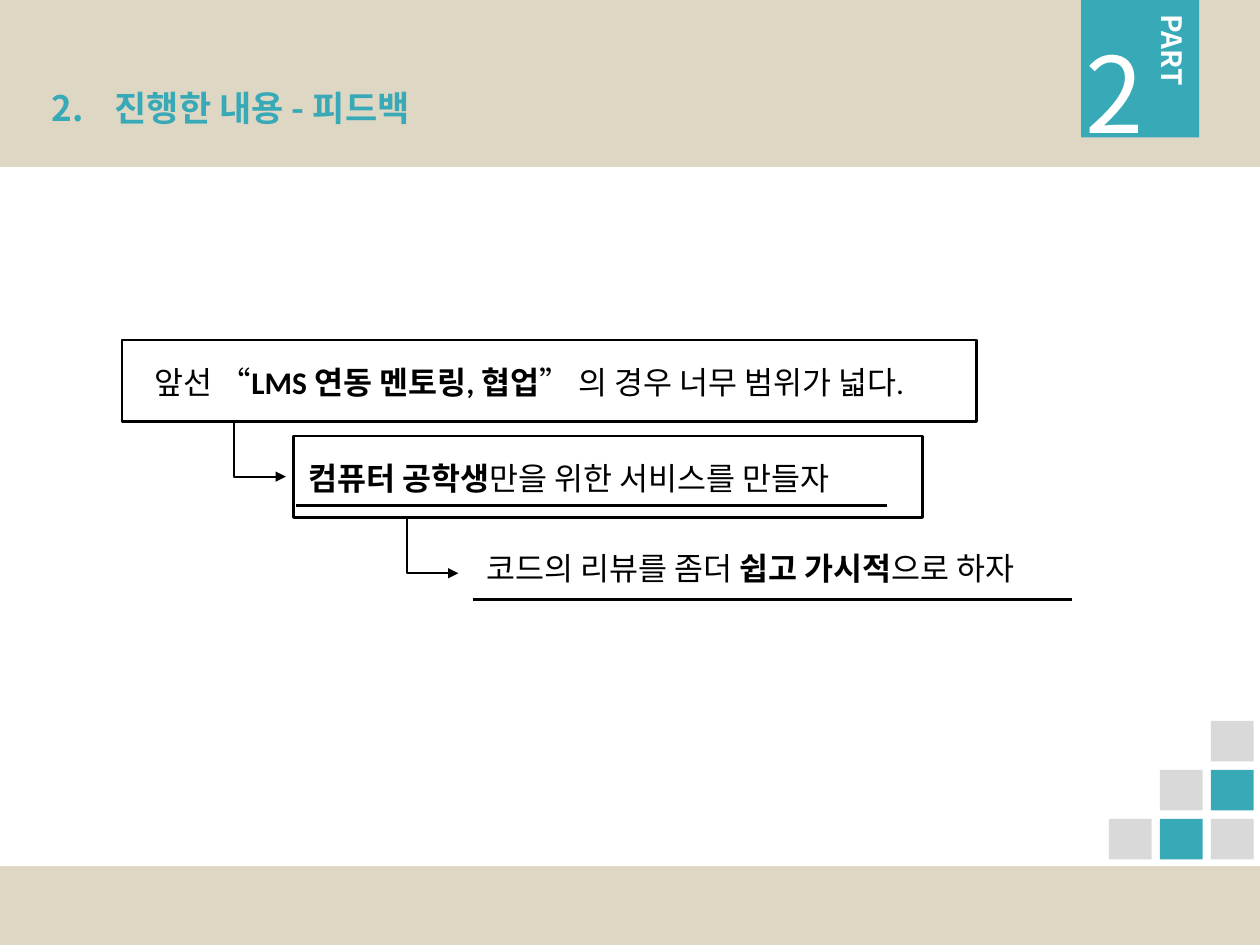
from lxml import etree
from pptx import Presentation
from pptx.dml.color import RGBColor
from pptx.enum.shapes import MSO_CONNECTOR, MSO_SHAPE
from pptx.enum.text import MSO_ANCHOR, MSO_AUTO_SIZE, PP_ALIGN
from pptx.oxml.ns import qn
from pptx.util import Pt

RECT = MSO_SHAPE.RECTANGLE
STRAIGHT, ELBOW = MSO_CONNECTOR.STRAIGHT, MSO_CONNECTOR.ELBOW
TOP, LEFT, FIT = MSO_ANCHOR.TOP, PP_ALIGN.LEFT, MSO_AUTO_SIZE.SHAPE_TO_FIT_TEXT
KOREAN, LATIN = "Noto Sans CJK KR", "Calibri"
COLORS = {"beige": "DED7C3", "teal": "38A9B7", "grey": "D9D9D9",
          "white": "FFFFFF", "black": "000000"}


def rgb(name):
    """Return the named colour."""
    return RGBColor.from_string(COLORS[name])


def write_text(sp, runs, size=18, font=LATIN, color="black", wrap=True, hanging=0):
    """Fill a shape with one paragraph of (text, bold) runs."""
    tf = sp.text_frame
    tf.word_wrap, tf.auto_size, tf.vertical_anchor = wrap, FIT, TOP
    p = tf.paragraphs[0]
    p.alignment = LEFT
    if hanging:
        pPr = p._p.get_or_add_pPr()
        pPr.set("marL", str(Pt(hanging)))
        pPr.set("indent", str(-Pt(hanging)))
    for text, bold in runs:
        r = p.add_run()
        r.text = text
        r.font.size, r.font.name, r.font.bold = Pt(size), font, bold
        r.font.color.rgb = rgb(color)
        ea = etree.SubElement(r._r.get_or_add_rPr(), qn("a:ea"))
        ea.set("typeface", KOREAN)


def add_text(s, box, runs, vertical=False, **fmt):
    """Add a text box, optionally with vertical text."""
    sp = s.shapes.add_textbox(*map(Pt, box))
    write_text(sp, runs, **fmt)
    if vertical:
        sp.text_frame._txBody.bodyPr.set("vert", "eaVert")


def add_rect(s, box, fill=None, line=None):
    """Add a rectangle with an optional fill and outline."""
    sp = s.shapes.add_shape(RECT, *map(Pt, box))
    sp.shadow.inherit = False
    if fill:
        sp.fill.solid()
        sp.fill.fore_color.rgb = rgb(fill)
    else:
        sp.fill.background()
    if line:
        sp.line.color.rgb = rgb(line)
        sp.line.width = Pt(1.5)
    else:
        sp.line.fill.background()


def add_line(s, ends, kind=STRAIGHT, width=1.5, arrow=False):
    """Add a black connector, optionally ending in an arrowhead."""
    cxn = s.shapes.add_connector(kind, *map(Pt, ends))
    cxn.line.color.rgb = rgb("black")
    cxn.line.width = Pt(width)
    if arrow:
        etree.SubElement(cxn.line._get_or_add_ln(), qn("a:tailEnd")).set("type", "triangle")
    etree.SubElement(cxn._element.spPr, qn("a:effectLst"))


def add_title(s, text):
    """Place and format the slide title."""
    sp = s.shapes.title
    sp.left, sp.top, sp.width, sp.height = map(Pt, (22.3, 46, 417.6, 31.5))
    write_text(sp, [(text, True)], size=20, font=KOREAN, color="teal", hanging=36)


def add_feedback(s):
    """Add the three feedback statements and the arrows joining them."""
    add_text(s, (81.4, 203.8, 467.3, 29), [
        ("앞선 “", False), ("LMS 연동 멘토링, 협업", True),
        ("” 의 경우 너무 범위가 넓다.", False)])
    add_text(s, (169.2, 258.5, 435.6, 29), [
        ("컴퓨터 공학생", True), ("만을 위한 서비스를 만들자", False)])
    add_text(s, (270.7, 310.3, 364.3, 29), [
        ("코드의 리뷰를 좀더 ", False), ("쉽고 가시적", True), ("으로 하자", False)])
    for box in ((69.8, 194.4, 488.2, 46.6), (167.8, 249.1, 359.3, 46.6)):
        add_rect(s, box, line="black")
    for x, y in ((104.4, 240.7), (203, 295.9)):
        add_line(s, (x, y, x + 59, y + 31.7), ELBOW, 1.25, arrow=True)
    for x1, x2, y in ((169.4, 506.9, 288.7), (270, 612.7, 342.7)):
        add_line(s, (x1, y, x2, y))


def add_badge(s):
    """Add the part number badge."""
    add_rect(s, (617.8, 0, 67.5, 78.5), fill="teal")
    add_text(s, (613.4, 13, 52.6, 80), [("2", False)],
             size=60, font=KOREAN, color="white", wrap=False)
    add_text(s, (649.4, 1.4, 33.8, 54.7), [("PART", True)], vertical=True,
             size=16, font=KOREAN, color="white", wrap=False)


def add_squares(s):
    """Add the staircase of squares in the lower right corner."""
    for row in range(3):
        for col in range(2 - row, 3):
            fill = "teal" if row + col == 3 else "grey"
            add_rect(s, (633.6 + 29.2 * col, 411.9 + 28 * row, 24.5, 23.2), fill=fill)


def main():
    """Build the slide and save it."""
    prs = Presentation()
    prs.slide_width, prs.slide_height = Pt(720), Pt(540)
    s = prs.slides.add_slide(prs.slide_layouts[5])
    s.background.fill.solid()
    s.background.fill.fore_color.rgb = rgb("beige")
    add_rect(s, (0, 95.5, 720, 399.5), fill="white")
    add_title(s, "2.\t진행한 내용 - 피드백")
    add_feedback(s)
    add_badge(s)
    add_squares(s)
    prs.save("out.pptx")


if __name__ == "__main__":
    main()
